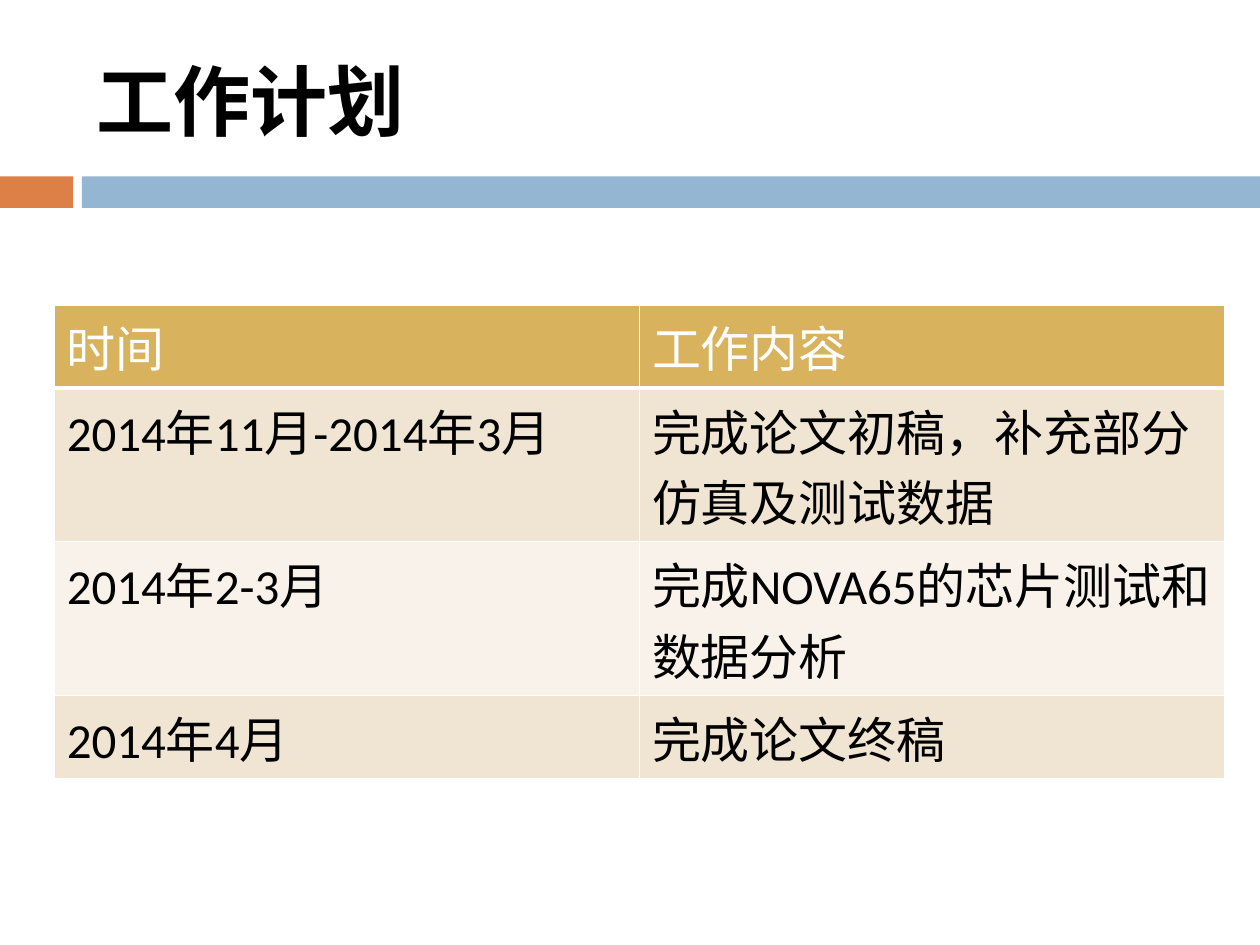
from dataclasses import dataclass

from lxml.etree import SubElement
from pptx import Presentation
from pptx.dml.color import RGBColor
from pptx.enum.shapes import MSO_SHAPE
from pptx.enum.text import MSO_ANCHOR
from pptx.oxml.ns import qn
from pptx.slide import Slide
from pptx.table import _Cell
from pptx.text.text import TextFrame
from pptx.util import Inches, Pt

COLORS = {
    "orange": "DD8047",
    "blue": "94B6D2",
    "gold": "D8B25C",
    "sand": "F0E4D2",
    "cream": "F8F2EA",
    "black": "000000",
    "white": "FFFFFF",
}
FONT = "Calibri"
SLIDE_WIDTH, SLIDE_HEIGHT = Inches(10), Inches(7.5)


@dataclass(frozen=True)
class Area:
    left: float
    top: float
    width: float
    height: float

    def box(self) -> tuple[int, int, int, int]:
        return (
            round(self.left * SLIDE_WIDTH),
            round(self.top * SLIDE_HEIGHT),
            round(self.width * SLIDE_WIDTH),
            round(self.height * SLIDE_HEIGHT),
        )


@dataclass(frozen=True)
class Band:
    area: Area
    color: str


@dataclass(frozen=True)
class PlanRow:
    time: str
    work: str
    lines: int


BAND_TOP, BAND_HEIGHT = 1.4 / 7.5, 0.25 / 7.5
BANDS = [
    Band(Area(0, BAND_TOP, 0.058, BAND_HEIGHT), "orange"),
    Band(Area(0.065, BAND_TOP, 0.935, BAND_HEIGHT), "blue"),
]
TITLE_AREA = Area(0.067, 0.25 / 7.5, 0.892, 0.144)
PLAN_AREA = Area(0.043, 2.42 / 7.5, 0.929, 0.5)
PLAN = [
    PlanRow("时间", "工作内容", 1),
    PlanRow("2014年11月-2014年3月", "完成论文初稿，补充部分仿真及测试数据", 2),
    PlanRow("2014年2-3月", "完成NOVA65的芯片测试和数据分析", 2),
    PlanRow("2014年4月", "完成论文终稿", 1),
]
LINE_HEIGHT, ROW_PADDING = Inches(0.56), Inches(0.1)


def rgb(name: str) -> RGBColor:
    return RGBColor.from_string(COLORS[name])


def write(frame: TextFrame, text: str, size: int, color: str, bold: bool = False) -> None:
    frame.text = text
    for run in frame.paragraphs[0].runs:
        run.font.name = FONT
        run.font.size = Pt(size)
        run.font.bold = bold
        run.font.color.rgb = rgb(color)


def draw_band(slide: Slide, band: Band) -> None:
    bar = slide.shapes.add_shape(MSO_SHAPE.RECTANGLE, *band.area.box())
    bar.shadow.inherit = False
    bar.fill.solid()
    bar.fill.fore_color.rgb = rgb(band.color)
    bar.line.fill.background()


def draw_title(slide: Slide, text: str) -> None:
    title = slide.shapes.add_textbox(*TITLE_AREA.box()).text_frame
    title.word_wrap = True
    title.vertical_anchor = MSO_ANCHOR.MIDDLE
    write(title, text, 44, "black", bold=True)


def draw_borders(cell: _Cell, widths: dict[str, int]) -> None:
    properties = cell._tc.get_or_add_tcPr()
    for side, width in widths.items():
        border = SubElement(properties, qn(f"a:{side}"), w=str(Pt(width)))
        border_fill = SubElement(border, qn("a:solidFill"))
        SubElement(border_fill, qn("a:srgbClr"), val=COLORS["white"])


def draw_plan(slide: Slide, rows: list[PlanRow]) -> None:
    plan = slide.shapes.add_table(len(rows), 2, *PLAN_AREA.box()).table
    for index, entry in enumerate(rows):
        header = index == 0
        fill = "gold" if header else ("sand" if index % 2 else "cream")
        plan.rows[index].height = entry.lines * LINE_HEIGHT + ROW_PADDING
        widths = {
            "lnL": 1,
            "lnR": 1,
            "lnT": 3 if index == 1 else 1,
            "lnB": 3 if header else 1,
        }
        for column, text in enumerate((entry.time, entry.work)):
            cell = plan.cell(index, column)
            draw_borders(cell, widths)
            cell.fill.solid()
            cell.fill.fore_color.rgb = rgb(fill)
            write(cell.text_frame, text, 28, "white" if header else "black")


def main() -> None:
    presentation = Presentation()
    presentation.slide_width, presentation.slide_height = SLIDE_WIDTH, SLIDE_HEIGHT
    slide = presentation.slides.add_slide(presentation.slide_layouts[6])
    for band in BANDS:
        draw_band(slide, band)
    draw_title(slide, "工作计划")
    draw_plan(slide, PLAN)
    presentation.save("out.pptx")


if __name__ == "__main__":
    main()
